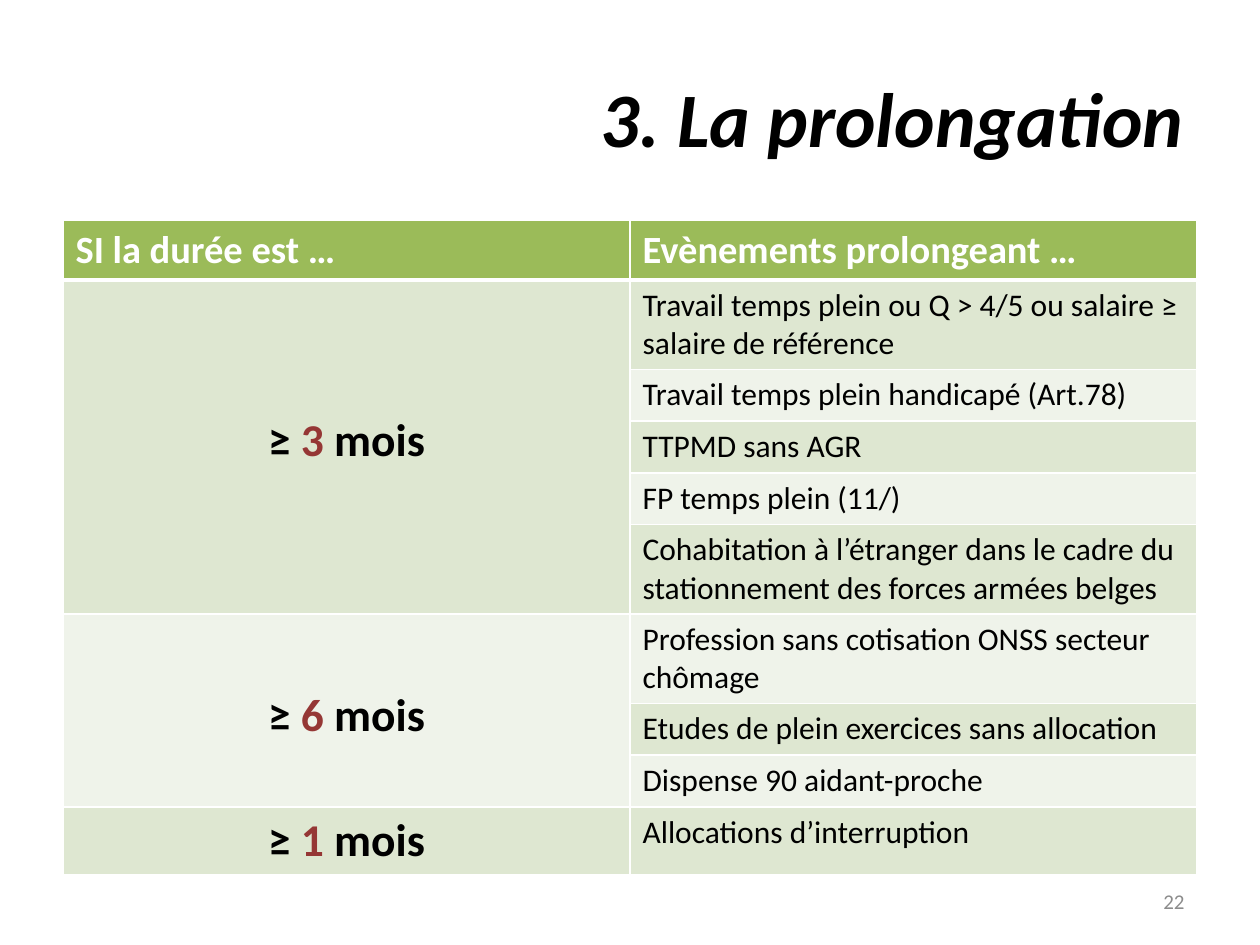
"""Build the slide on events that prolong the reference period."""
from dataclasses import dataclass

from lxml import etree
from pptx import Presentation
from pptx.dml.color import RGBColor
from pptx.enum.text import MSO_ANCHOR, PP_ALIGN
from pptx.oxml.ns import qn
from pptx.util import Inches, Pt

LEFT, CENTER, RIGHT = PP_ALIGN.LEFT, PP_ALIGN.CENTER, PP_ALIGN.RIGHT
TOP, MIDDLE = MSO_ANCHOR.TOP, MSO_ANCHOR.MIDDLE
FONT = "Calibri"
HEX = {
    "head": "9BBB59",
    "dark": "DEE7D1",
    "pale": "EFF3EA",
    "red": "953735",
    "black": "000000",
    "white": "FFFFFF",
    "gray": "8C8C8C",
}
HEAD_H, ONE_H, TWO_H, LAST_H = 0.46, 0.41, 0.71, 0.54


@dataclass
class Event:
    """An event and the height of its row."""
    text: str
    height: float = ONE_H


@dataclass
class Group:
    """Events that share one least length in months."""
    months: str
    inset: float
    events: list[Event]


HEADS = ["SI la durée est …", "Evènements prolongeant …"]
GROUPS = [
    Group("3", 1.06, [
        Event("Travail temps plein ou Q > 4/5 ou salaire ≥ salaire de référence", TWO_H),
        Event("Travail temps plein handicapé (Art.78)"),
        Event("TTPMD sans AGR"),
        Event("FP temps plein (11/)"),
        Event("Cohabitation à l’étranger dans le cadre du "
              "stationnement des forces armées belges", TWO_H),
    ]),
    Group("6", 0.59, [
        Event("Profession sans cotisation ONSS secteur chômage", TWO_H),
        Event("Etudes de plein exercices sans allocation"),
        Event("Dispense 90 aidant-proche"),
    ]),
    Group("1", 0.05, [Event("Allocations d’interruption", LAST_H)]),
]


def color(name: str) -> RGBColor:
    """Look up a colour."""
    return RGBColor.from_string(HEX[name])


def style(para, size: int, tint: str = "black", bold: bool = False,
          italic: bool = False, align=LEFT) -> None:
    """Format a whole paragraph."""
    para.alignment = align
    font = para.font
    font.name, font.size, font.bold, font.italic = FONT, Pt(size), bold, italic
    font.color.rgb = color(tint)


def dress(cell, tint: str, row: int) -> None:
    """Give a cell its fill and white borders."""
    props = cell._tc.get_or_add_tcPr()
    thick = {0: "lnB", 1: "lnT"}.get(row)
    for spot, side in enumerate(("lnL", "lnR", "lnT", "lnB")):
        line = etree.Element(qn(f"a:{side}"), w=str(Pt(3 if side == thick else 1)))
        fill = etree.SubElement(line, qn("a:solidFill"))
        etree.SubElement(fill, qn("a:srgbClr"), val=HEX["white"])
        props.insert(spot, line)
    cell.fill.solid()
    cell.fill.fore_color.rgb = color(tint)


def write_span(cell, group: Group) -> None:
    """Write the least length, with its number in red."""
    cell.margin_top = Inches(group.inset)
    cell.vertical_anchor = TOP
    para = cell.text_frame.paragraphs[0]
    style(para, 26, bold=True, align=CENTER)
    for text, tint in (("≥ ", "black"), (group.months, "red"), (" mois", "black")):
        run = para.add_run()
        run.text = text
        run.font.color.rgb = color(tint)


def add_grid(slide) -> None:
    """Draw the table of lengths and events."""
    events = [event for group in GROUPS for event in group.events]
    heights = [HEAD_H] + [event.height for event in events]
    table = slide.shapes.add_table(
        len(heights), 2, Inches(0.5), Inches(1.75), Inches(9), Inches(sum(heights))).table
    for row, height in enumerate(heights):
        table.rows[row].height = Inches(height)
        tint = "head" if row == 0 else "dark" if row % 2 else "pale"
        for col in range(2):
            dress(table.cell(row, col), tint, row)
    for col, text in enumerate(HEADS):
        cell = table.cell(0, col)
        cell.text = text
        style(cell.text_frame.paragraphs[0], 22, "white", bold=True)
    for row, event in enumerate(events, 1):
        cell = table.cell(row, 1)
        cell.text = event.text
        style(cell.text_frame.paragraphs[0], 18)
    row = 1
    for group in GROUPS:
        cell, last = table.cell(row, 0), row + len(group.events) - 1
        if last > row:
            cell.merge(table.cell(last, 0))
        write_span(cell, group)
        row = last + 1


def fill_text(shape, text: str) -> None:
    """Put text in a shape, wrapped and centred by height."""
    frame = shape.text_frame
    frame.text = text
    frame.word_wrap = True
    frame.vertical_anchor = MIDDLE


def main() -> None:
    """Build and save the slide."""
    deck = Presentation()
    deck.slide_width, deck.slide_height = Inches(10), Inches(7.5)
    slide = deck.slides.add_slide(deck.slide_layouts[5])
    title = slide.shapes.title
    title.left, title.top = Inches(0.5), Inches(0.3)
    title.width, title.height = Inches(9), Inches(1.25)
    fill_text(title, "3. La prolongation")
    style(title.text_frame.paragraphs[0], 44, bold=True, italic=True, align=RIGHT)
    add_grid(slide)
    number = slide.shapes.add_textbox(Inches(7.17), Inches(6.95), Inches(2.33), Inches(0.4))
    fill_text(number, "22")
    style(number.text_frame.paragraphs[0], 12, "gray", align=RIGHT)
    deck.save("out.pptx")


if __name__ == "__main__":
    main()
